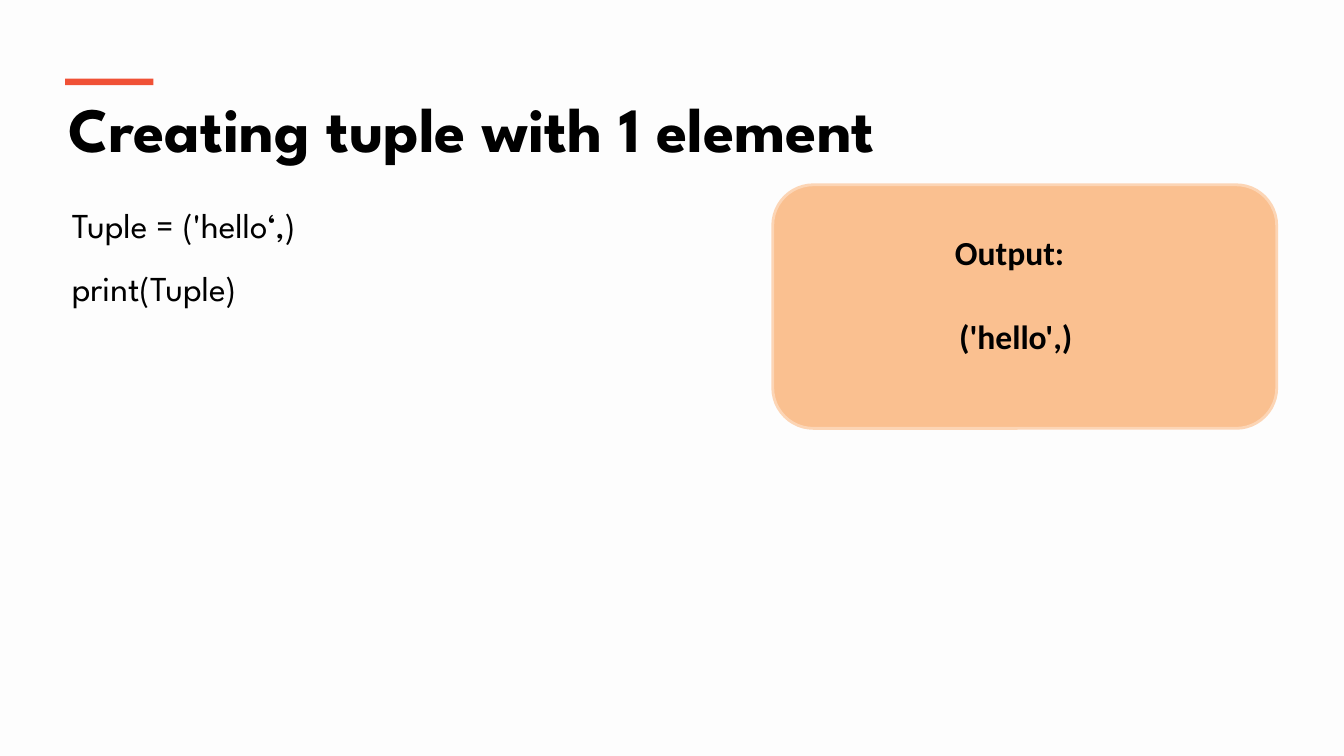
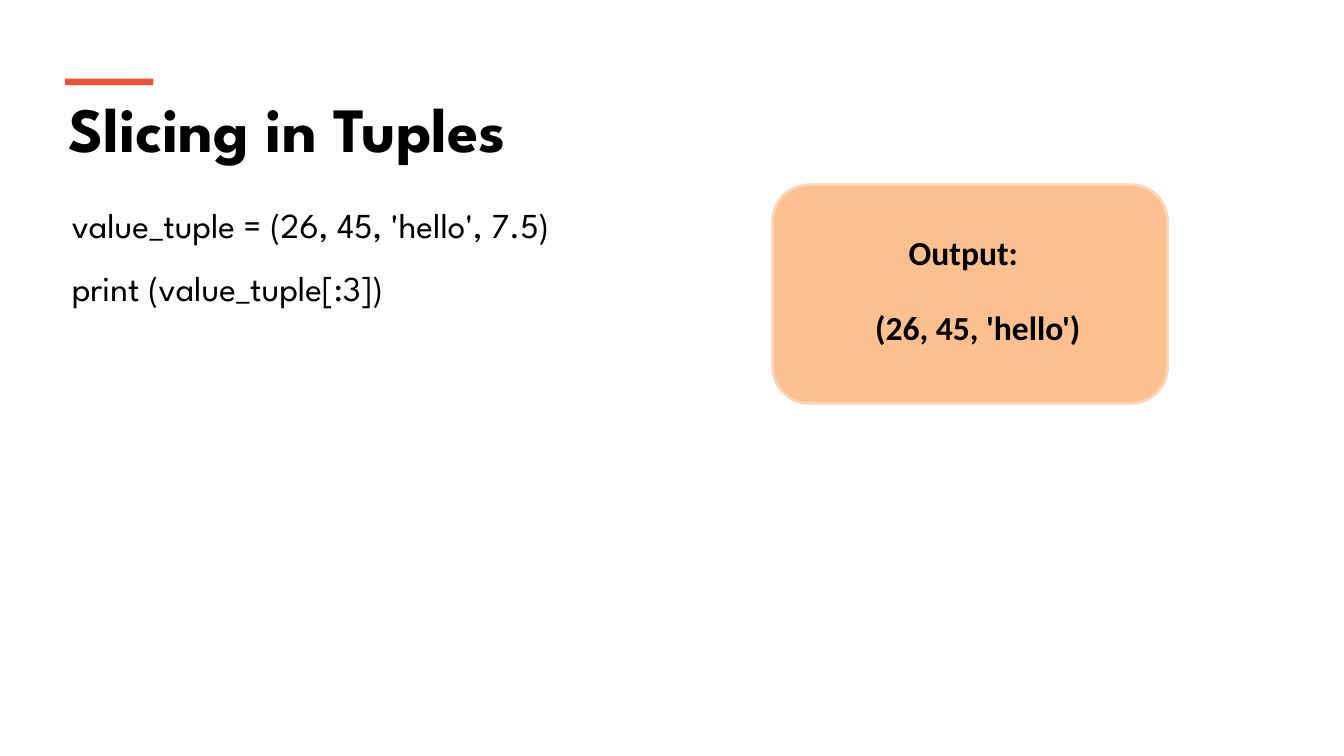
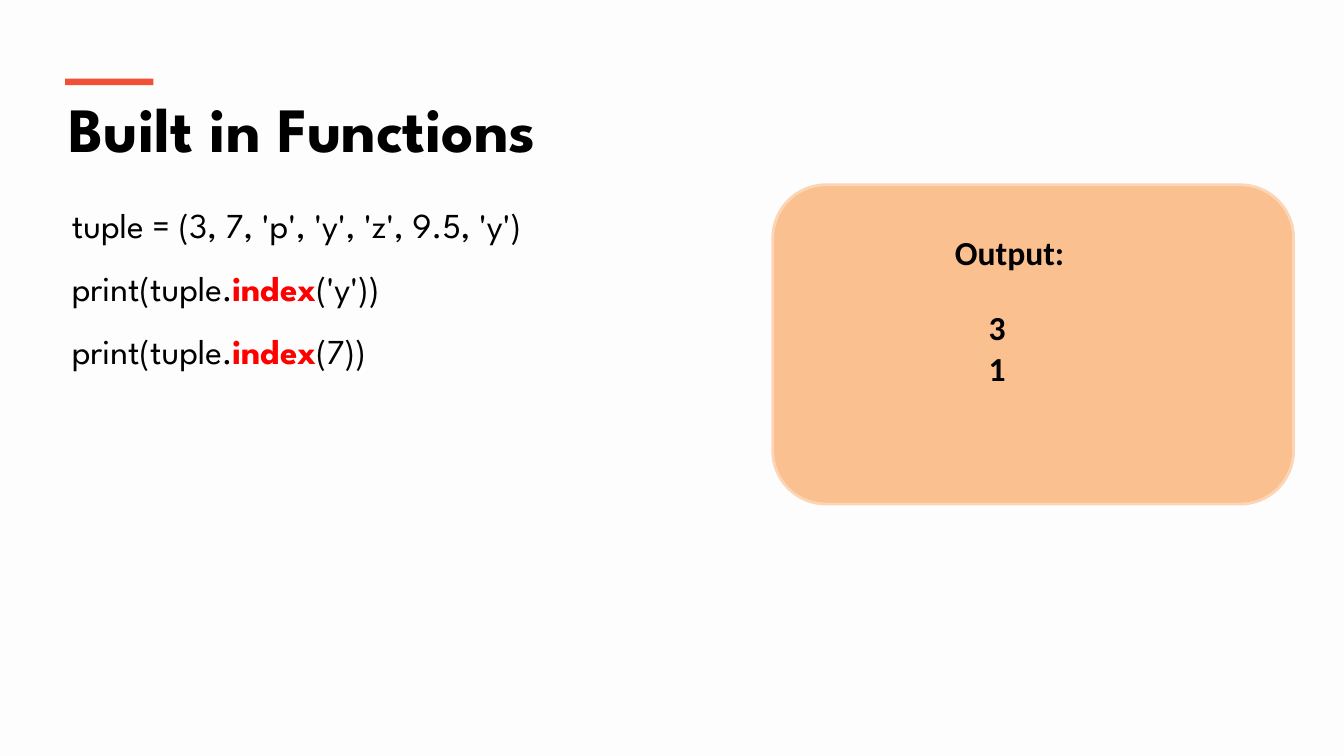
from dataclasses import dataclass

from pptx import Presentation
from pptx import util as u
from pptx.dml.color import RGBColor
from pptx.enum import shapes, text

PX = 9525


@dataclass(frozen=True)
class Theme:
    background: str = "FDFDFD"
    ink: str = "000000"
    accent: str = "F05136"
    highlight: str = "FF0000"
    panel: str = "FAC090"
    panel_line: str = "FCD5B5"
    panel_line_width: int = 2
    heading_font: str = "League Spartan"
    output_font: str = "Calibri"
    title_size: int = 45
    code_size: int = 25
    output_size: int = 24
    code_spacing: float = 1.5


THEME = Theme()
TITLE_STYLE = {"name": THEME.heading_font, "size": u.Pt(THEME.title_size), "bold": True}
CODE_STYLE = {"name": THEME.heading_font, "size": u.Pt(THEME.code_size), "bold": False}
OUTPUT_STYLE = {"name": THEME.output_font, "size": u.Pt(THEME.output_size), "bold": True}

HEADER = (56, 75, 1169, 89)
CODE_LEFT, CODE_TOP, CODE_WIDTH = 59, 169, 1165
PANEL_LEFT, PANEL_TOP = 736, 176

SLIDES = [
    {
        "title": "Creating tuple with 1 element",
        "code": [["Tuple = ('hello‘,)"], ["print(Tuple)"]],
        "code_height": 131,
        "panel_size": (480, 232),
        "label": (164, 40, 125, 48),
        "result": (168, 120, 130, 48),
        "output": [["('hello',)"]],
    },
    {
        "title": "Slicing in Tuples",
        "code": [["value_tuple = (26, 45, 'hello', 7.5)"], ["print (value_tuple[:3])"]],
        "code_height": 126,
        "panel_size": (376, 208),
        "label": (120, 40, 125, 48),
        "result": (88, 112, 218, 48),
        "output": [["(26, 45, 'hello')"]],
    },
    {
        "title": "Built in Functions",
        "code": [
            ["tuple = (3, 7, 'p', 'y', 'z', 9.5, 'y')"],
            ["print(tuple.", "index", "('y'))"],
            ["print(tuple.", "index", "(7))"],
        ],
        "code_height": 247,
        "panel_size": (496, 304),
        "label": (164, 40, 125, 48),
        "result": (196, 112, 36, 87),
        "output": [["3"], ["1"]],
    },
]


def px(*lengths):
    return [u.Emu(length * PX) for length in lengths]


def apply(target, values):
    for name, value in values.items():
        setattr(target, name, value)


def fill_solid(fill, color):
    fill.solid()
    fill.fore_color.rgb = RGBColor.from_string(color)


def add_text(slide, box, lines, style, wrap=True, spacing=None):
    frame = slide.shapes.add_textbox(*px(*box)).text_frame
    apply(frame, {"word_wrap": wrap, "auto_size": text.MSO_AUTO_SIZE.SHAPE_TO_FIT_TEXT})
    for number, pieces in enumerate(lines):
        paragraph = frame.add_paragraph() if number else frame.paragraphs[0]
        paragraph.line_spacing = spacing
        for position, piece in enumerate(pieces):
            highlighted = position % 2 == 1
            run = paragraph.add_run()
            run.text = piece
            apply(run.font, style)
            run.font.bold = style["bold"] or highlighted
            color = THEME.highlight if highlighted else THEME.ink
            run.font.color.rgb = RGBColor.from_string(color)


def add_block(slide, kind, box, color):
    shape = slide.shapes.add_shape(kind, *px(*box))
    shape.shadow.inherit = False
    fill_solid(shape.fill, color)
    shape.line.fill.background()
    return shape


def add_header(slide, box, title):
    left, top, width, height = box
    add_text(slide, (left, top + 6, width, height - 6), [[title]], TITLE_STYLE)
    add_block(slide, shapes.MSO_SHAPE.RECTANGLE, (left + 6, top, 84, 6), THEME.accent)


def add_code(slide, box, lines):
    add_text(slide, box, lines, CODE_STYLE, spacing=THEME.code_spacing)


def add_output(slide, box, content):
    panel = add_block(slide, shapes.MSO_SHAPE.ROUNDED_RECTANGLE, box, THEME.panel)
    fill_solid(panel.line.fill, THEME.panel_line)
    panel.line.width = u.Pt(THEME.panel_line_width)
    for part, lines in (("result", content["output"]), ("label", [["Output:"]])):
        left, top, width, height = content[part]
        place = (box[0] + left, box[1] + top, width, height)
        add_text(slide, place, lines, OUTPUT_STYLE, wrap=False)


def add_example_slide(presentation, content):
    slide = presentation.slides.add_slide(presentation.slide_layouts[6])
    add_header(slide, HEADER, content["title"])
    code_box = (CODE_LEFT, CODE_TOP, CODE_WIDTH, content["code_height"])
    add_code(slide, code_box, content["code"])
    add_output(slide, (PANEL_LEFT, PANEL_TOP, *content["panel_size"]), content)


def main():
    presentation = Presentation()
    presentation.slide_width, presentation.slide_height = px(1280, 720)
    fill_solid(presentation.slide_master.background.fill, THEME.background)
    for content in SLIDES:
        add_example_slide(presentation, content)
    presentation.save("out.pptx")


if __name__ == "__main__":
    main()
